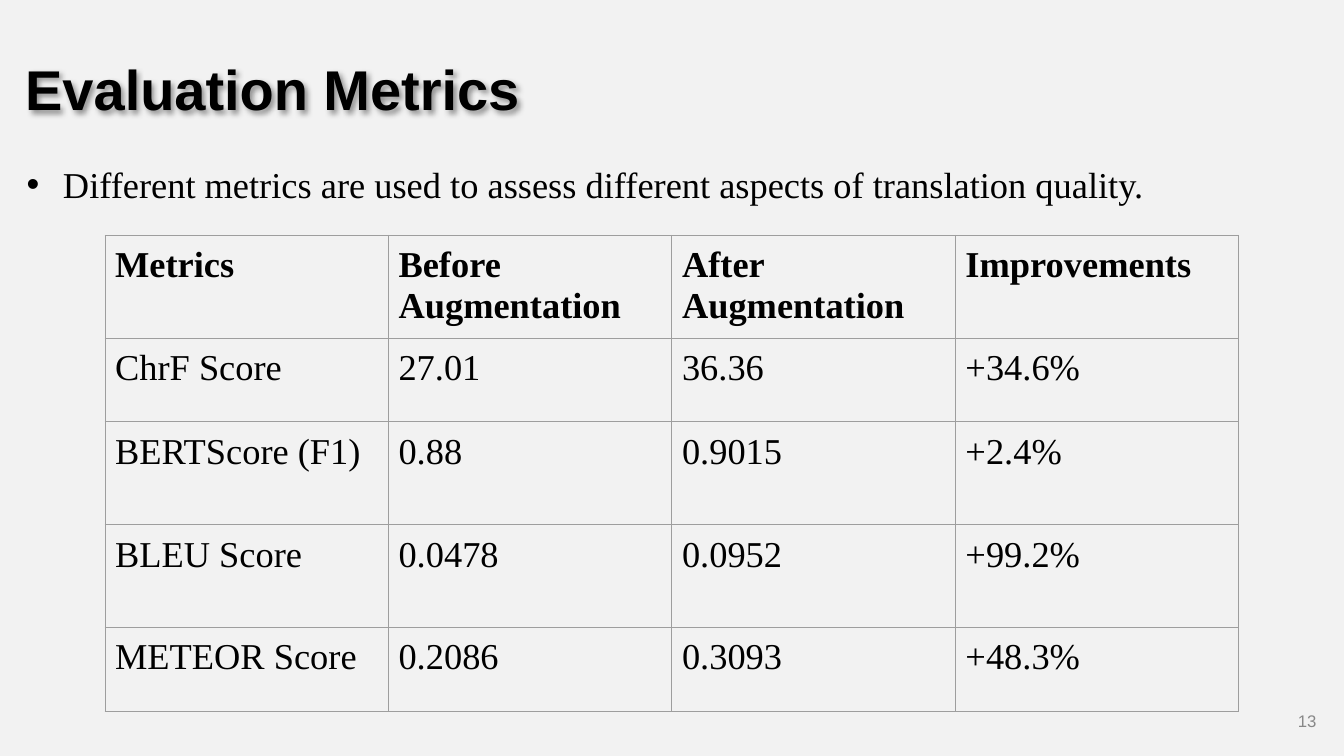
from dataclasses import dataclass

from lxml import etree
from pptx import Presentation
from pptx.dml.color import RGBColor
from pptx.enum.text import MSO_ANCHOR, MSO_AUTO_SIZE, PP_ALIGN
from pptx.oxml.ns import qn
from pptx.util import Pt

LEFT, RIGHT = PP_ALIGN.LEFT, PP_ALIGN.RIGHT
TOP, MIDDLE = MSO_ANCHOR.TOP, MSO_ANCHOR.MIDDLE
NO_AUTOFIT = MSO_AUTO_SIZE.NONE
TITLE_ONLY = 5


@dataclass(frozen=True)
class TextStyle:
    font: str
    size: float
    color: str
    bold: bool = False


@dataclass(frozen=True)
class Theme:
    background: str = "F2F2F2"
    border: str = "9E9E9E"
    bullet: str = "000000"
    title: TextStyle = TextStyle("Arial", 40, "000000", True)
    body: TextStyle = TextStyle("Times New Roman", 26, "000000")
    header: TextStyle = TextStyle("Times New Roman", 26, "000000", True)
    number: TextStyle = TextStyle("Arial", 12, "888888")


@dataclass(frozen=True)
class Box:
    left: float
    top: float
    width: float
    height: float

    def lengths(self) -> tuple:
        return Pt(self.left), Pt(self.top), Pt(self.width), Pt(self.height)


@dataclass(frozen=True)
class Metric:
    name: str
    before: str
    after: str
    improvement: str
    height: float
    header: bool = False

    def texts(self) -> tuple:
        return self.name, self.before, self.after, self.improvement


THEME = Theme()
TITLE_BOX = Box(18, 48.24, 744.5, 56.16)
BODY_BOX = Box(18, 110.88, 923.76, 377.28)
NUMBER_BOX = Box(723.6, 500.4, 223.92, 28.8)
TABLE_BOX = Box(75, 168, 810, 340)
CELL_MARGIN = 7.2
BORDER_WIDTH = 0.75
METRICS = [
    Metric("Metrics", "Before Augmentation", "After Augmentation", "Improvements", 73.5, True),
    Metric("ChrF Score", "27.01", "36.36", "+34.6%", 59.75),
    Metric("BERTScore (F1)", "0.88", "0.9015", "+2.4%", 73.5),
    Metric("BLEU Score", "0.0478", "0.0952", "+99.2%", 73.5),
    Metric("METEOR Score", "0.2086", "0.3093", "+48.3%", 59.75),
]


def add_run(paragraph, text: str, style: TextStyle) -> None:
    run = paragraph.add_run()
    run.text = text
    run.font.name = style.font
    run.font.size = Pt(style.size)
    run.font.bold = style.bold
    run.font.color.rgb = RGBColor.from_string(style.color)


def set_margins(target, horizontal: float, vertical: float) -> None:
    target.margin_left = target.margin_right = Pt(horizontal)
    target.margin_top = target.margin_bottom = Pt(vertical)


def add_color(parent, color: str):
    return etree.SubElement(parent, qn("a:srgbClr"), val=color)


def fill_frame(shape, text: str, style: TextStyle, align=LEFT, anchor=TOP,
               margins: tuple = (0, 0)):
    frame = shape.text_frame
    frame.word_wrap = True
    frame.auto_size = NO_AUTOFIT
    frame.vertical_anchor = anchor
    set_margins(frame, *margins)
    paragraph = frame.paragraphs[0]
    paragraph.alignment = align
    add_run(paragraph, text, style)
    return paragraph


def add_title(slide) -> None:
    title = slide.shapes.title
    title.left, title.top, title.width, title.height = TITLE_BOX.lengths()
    paragraph = fill_frame(title, "Evaluation Metrics", THEME.title)
    paragraph.line_spacing = 0.8
    # Soft shadow down and to the right
    effects = etree.SubElement(title.element.spPr, qn("a:effectLst"))
    shadow = etree.SubElement(effects, qn("a:outerShdw"), blurRad=str(Pt(4)),
                              dist=str(Pt(3)), dir="2700000", algn="tl", rotWithShape="0")
    etree.SubElement(add_color(shadow, "000000"), qn("a:alpha"), val="40000")


def add_bullet_text(slide) -> None:
    shape = slide.shapes.add_textbox(*BODY_BOX.lengths())
    paragraph = fill_frame(
        shape,
        "Different metrics are used to assess different aspects of translation quality.",
        THEME.body)
    paragraph.line_spacing = 1.15
    paragraph.space_before, paragraph.space_after = Pt(9), Pt(16)
    properties = paragraph._p.get_or_add_pPr()
    properties.set("marL", str(Pt(27)))
    properties.set("indent", str(Pt(-26)))
    add_color(etree.SubElement(properties, qn("a:buClr")), THEME.bullet)
    etree.SubElement(properties, qn("a:buFont"), typeface="Arial")
    etree.SubElement(properties, qn("a:buChar"), char="•")


def add_borders(cell) -> None:
    properties = cell._tc.get_or_add_tcPr()
    for index, side in enumerate(("a:lnL", "a:lnR", "a:lnT", "a:lnB")):
        line = etree.Element(qn(side), w=str(Pt(BORDER_WIDTH)))
        add_color(etree.SubElement(line, qn("a:solidFill")), THEME.border)
        properties.insert(index, line)


def add_metrics_table(slide) -> None:
    column_count = len(METRICS[0].texts())
    table = slide.shapes.add_table(len(METRICS), column_count, *TABLE_BOX.lengths()).table
    table.first_row = table.horz_banding = False
    for column in table.columns:
        column.width = Pt(TABLE_BOX.width / column_count)
    for row, metric in zip(table.rows, METRICS):
        row.height = Pt(metric.height)
        style = THEME.header if metric.header else THEME.body
        for cell, text in zip(row.cells, metric.texts()):
            set_margins(cell, CELL_MARGIN, CELL_MARGIN)
            cell.vertical_anchor = TOP
            cell.fill.background()
            add_borders(cell)
            add_run(cell.text_frame.paragraphs[0], text, style)


def add_slide_number(slide) -> None:
    shape = slide.shapes.add_textbox(*NUMBER_BOX.lengths())
    fill_frame(shape, "13", THEME.number, RIGHT, MIDDLE, (7.2, 3.6))


def main() -> None:
    presentation = Presentation()
    presentation.slide_width, presentation.slide_height = Pt(960), Pt(540)
    slide = presentation.slides.add_slide(presentation.slide_layouts[TITLE_ONLY])
    background = slide.background.fill
    background.solid()
    background.fore_color.rgb = RGBColor.from_string(THEME.background)

    add_title(slide)
    add_slide_number(slide)
    add_bullet_text(slide)
    add_metrics_table(slide)
    presentation.save("out.pptx")


if __name__ == "__main__":
    main()
